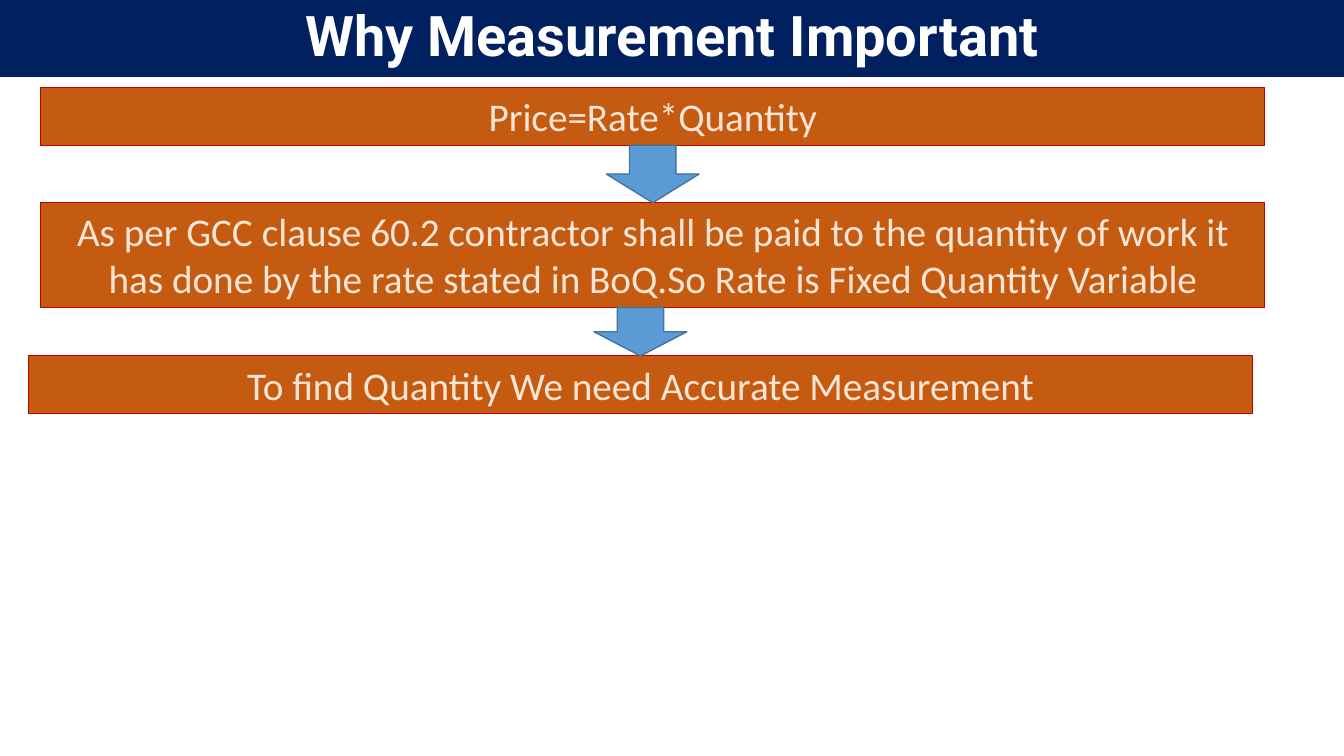
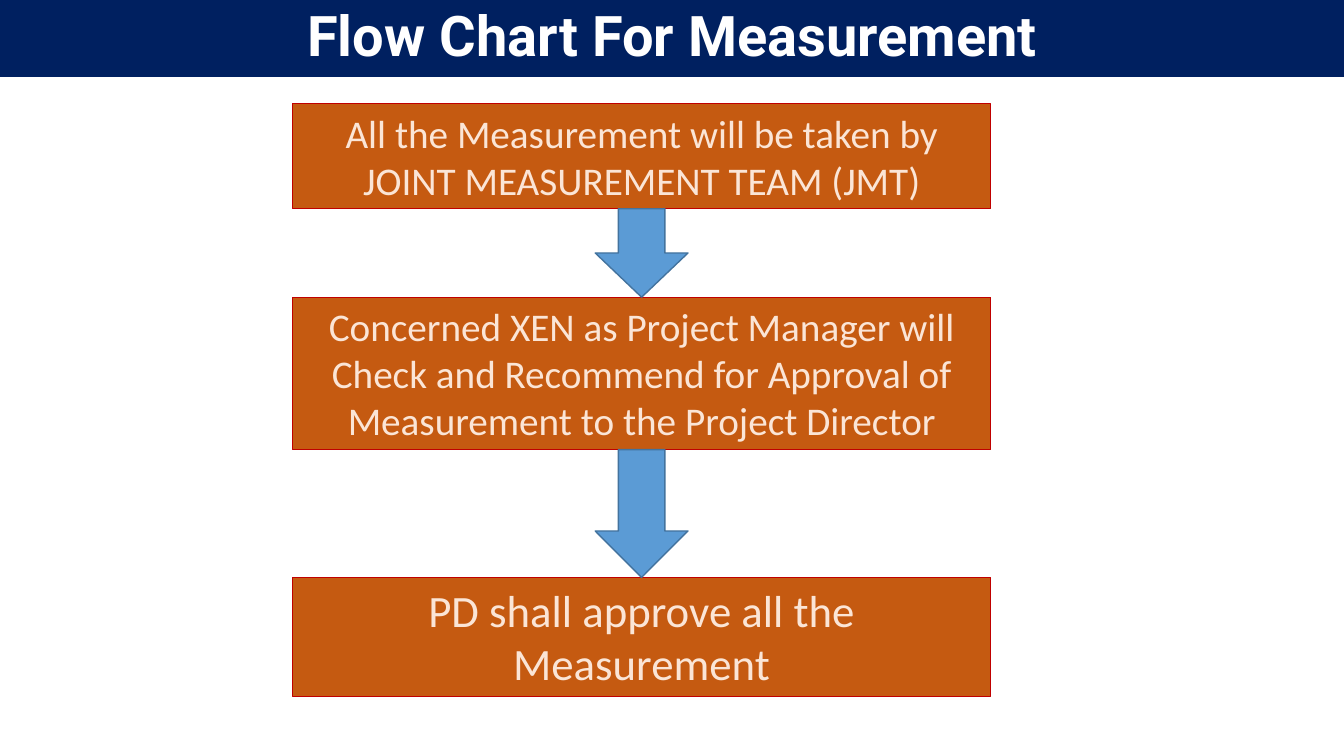
from pptx import Presentation
from pptx.dml.color import RGBColor
from pptx.enum.shapes import MSO_SHAPE as Shape
from pptx.enum.text import MSO_ANCHOR as Anchor, MSO_AUTO_SIZE as AutoSize, PP_ALIGN as Align
from pptx.util import Cm, Pt

SLIDE_WIDTH, SLIDE_HEIGHT = Cm(33.87), Cm(19.05)
TITLE_HEIGHT = Cm(1.94)
ARROW_WIDTH = Cm(2.34)
TITLE_FONT, BODY_FONT = "Roboto", "Calibri"
NAVY, WHITE = "002060", "FFFFFF"
ORANGE, RED, CREAM = "C55A11", "C00000", "FBE5D6"
BLUE, DARK_BLUE = "5B9BD5", "43739E"

# Each step: text, left, top, width, height (cm), text size (pt)
IMPORTANCE_STEPS = [
    ("Price=Rate*Quantity", 1.02, 2.21, 30.86, 1.45, 28),
    ("As per GCC clause 60.2 contractor shall be paid to the quantity of work it "
     "has done by the rate stated in BoQ.So Rate is Fixed Quantity Variable",
     1.02, 5.11, 30.86, 2.64, 28),
    ("To find Quantity We need Accurate Measurement", 0.71, 8.97, 30.86, 1.45, 28),
]
APPROVAL_STEPS = [
    ("All the Measurement will be taken by JOINT MEASUREMENT TEAM (JMT)",
     7.37, 2.62, 17.6, 2.64, 28),
    ("Concerned XEN as Project Manager will Check and Recommend for Approval "
     "of Measurement to the Project Director", 7.37, 7.49, 17.6, 3.84, 28),
    ("PD shall approve all the Measurement", 7.37, 14.55, 17.6, 3, 32),
]


def color(value):
    return RGBColor.from_string(value)


def paint(shape, fill, line, line_width):
    shape.shadow.inherit = False
    shape.fill.solid()
    shape.fill.fore_color.rgb = color(fill)
    shape.line.color.rgb = color(line)
    shape.line.width = Pt(line_width)


def write(box, text, font, size, text_color, bold=False):
    """Put one centred run into the box and return its paragraph."""
    box.text_frame.word_wrap = True
    para = box.text_frame.paragraphs[0]
    para.alignment = Align.CENTER
    span = para.add_run()
    span.text = text
    span.font.name = font
    span.font.size = Pt(size)
    span.font.bold = bold
    span.font.color.rgb = color(text_color)
    return para


def add_title_band(page, text):
    title = page.shapes.title
    title.left, title.top = 0, 0
    title.width, title.height = SLIDE_WIDTH, TITLE_HEIGHT
    title.fill.solid()
    title.fill.fore_color.rgb = color(NAVY)
    title.text_frame.vertical_anchor = Anchor.MIDDLE
    title.text_frame.auto_size = AutoSize.NONE
    para = write(title, text, TITLE_FONT, 40, WHITE, bold=True)
    para.line_spacing = 0.9


def add_step(page, text, left, top, width, height, size):
    box = page.shapes.add_shape(Shape.RECTANGLE, Cm(left), Cm(top), Cm(width), Cm(height))
    paint(box, ORANGE, RED, 0.75)
    box.text_frame.vertical_anchor = Anchor.TOP
    box.text_frame.auto_size = AutoSize.SHAPE_TO_FIT_TEXT
    write(box, text, BODY_FONT, size, CREAM)
    return box


def add_arrow(page, upper, lower):
    """Fill the gap between two boxes with an arrow centred on the lower one."""
    top = upper.top + upper.height
    left = lower.left + (lower.width - ARROW_WIDTH) // 2
    arrow = page.shapes.add_shape(Shape.DOWN_ARROW, left, top, ARROW_WIDTH, lower.top - top)
    paint(arrow, BLUE, DARK_BLUE, 1)


def add_flow_slide(deck, title, steps):
    page = deck.slides.add_slide(deck.slide_layouts.get_by_name("Title Only"))
    add_title_band(page, title)
    boxes = [add_step(page, *step) for step in steps]
    for upper, lower in zip(boxes, boxes[1:]):
        add_arrow(page, upper, lower)


def main():
    deck = Presentation()
    deck.slide_width, deck.slide_height = SLIDE_WIDTH, SLIDE_HEIGHT
    add_flow_slide(deck, "Why Measurement Important", IMPORTANCE_STEPS)
    add_flow_slide(deck, "Flow Chart For Measurement", APPROVAL_STEPS)
    deck.save("out.pptx")


if __name__ == "__main__":
    main()
